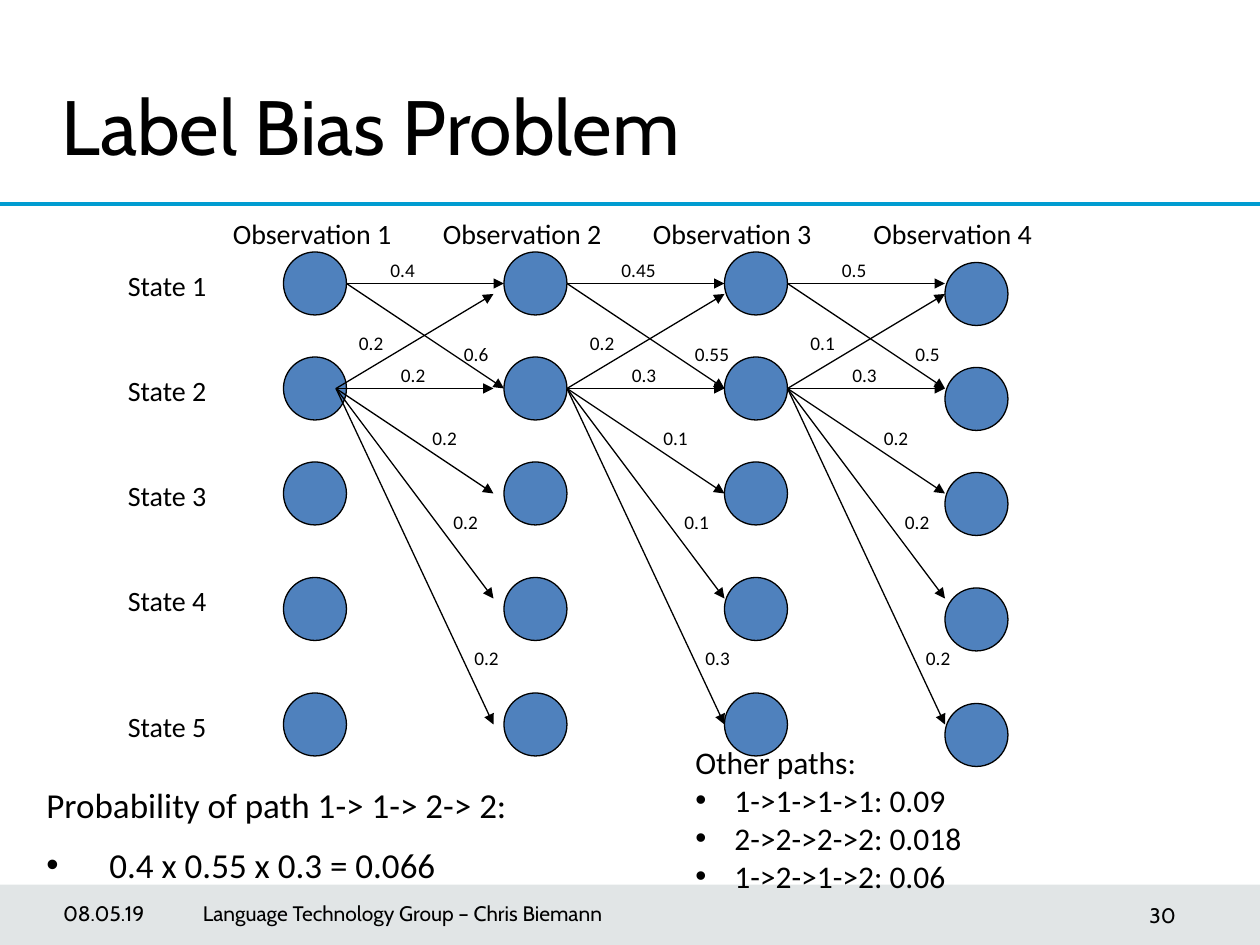
import pptx
import pptx.util
import pptx.dml.color
import pptx.enum.shapes
import pptx.enum.text
import pptx.oxml
import pptx.oxml.ns
import lxml.etree

Inches, Pt = pptx.util.Inches, pptx.util.Pt
Shape = pptx.enum.shapes.MSO_SHAPE
Link = pptx.enum.shapes.MSO_CONNECTOR
Anchor = pptx.enum.text.MSO_ANCHOR
Align = pptx.enum.text.PP_ALIGN
qn = pptx.oxml.ns.qn
unit = 1 / 12  # the diagram sits on a grid of twelfths of an inch


def paint(fill, color):
    fill.solid()
    fill.fore_color.rgb = pptx.dml.color.RGBColor.from_string(color)


def write(box, lines, font, frame={}, para={}, indent=0):
    """Add a text box; every line after the first gets a bullet."""
    text = slide.shapes.add_textbox(*map(Inches, box)).text_frame
    for name, value in {"word_wrap": True, **frame}.items():
        setattr(text, name, value)
    for i, line in enumerate(lines):
        item = text.add_paragraph() if i else text.paragraphs[0]
        run = item.add_run()
        run.text = line
        for name, value in font.items():
            setattr(run.font, name, value)
        paint(run.font.fill, "000000")
        for name, value in para.items():
            setattr(item, name, value)
        if i:
            props = item._p.get_or_add_pPr()
            props.set("marL", str(Inches(indent)))
            props.set("indent", str(-Inches(indent)))
            lxml.etree.SubElement(props, qn("a:buFont")).set("typeface", "Arial")
            lxml.etree.SubElement(props, qn("a:buChar")).set("char", "•")


deck = pptx.Presentation()
deck.slide_width, deck.slide_height = Inches(10), Inches(7.5)
slide = deck.slides.add_slide(deck.slide_layouts[6])

# Footer band, 15 % opaque
band = slide.shapes.add_shape(
    Shape.RECTANGLE, Inches(0), Inches(7.02), Inches(10), Inches(0.48))
band.shadow.inherit = False
paint(band.fill, "3B515B")
band.line.fill.background()
tint = band._element.spPr.find(".//" + qn("a:srgbClr"))
lxml.etree.SubElement(tint, qn("a:alpha")).set("val", "15000")

# Title and path probability
write((0.39, 0.53, 7.52, 0.92), ["Label Bias Problem"],
      {"name": "Cabin", "size": Pt(44)}, {"vertical_anchor": Anchor.MIDDLE})
write((0.27, 6.17, 4.73, 0.92),
      ["Probability of path 1-> 1-> 2-> 2:", "0.4 x 0.55 x 0.3 = 0.066"],
      {"name": "Calibri", "size": Pt(20)}, para={"space_before": Pt(10)}, indent=0.5)

# State nodes: one column per observation, the last one a step lower
columns = [27, 48, 69, 90]
for left in columns:
    drop = 1 if left == columns[-1] else 0
    for top in [24, 34, 44, 55, 66]:
        node = slide.shapes.add_shape(
            Shape.OVAL, Inches(left * unit), Inches((top + drop) * unit),
            Inches(0.5), Inches(0.5))
        node.shadow.inherit = False
        paint(node.fill, "4F81BD")
        paint(node.line.fill, "000000")
        node.line.width = Pt(0.75)

# Lines: title rule first, then moves out of states 1 and 2
lines = [(0, 1.62, 10, 1.62, "009CD1", 2)]
for gap, left in enumerate(columns[:-1]):
    moves = [(27, 27, 0), (27, 37, 0)]
    shift = 0 if gap else -1
    moves += [(37, end, shift) for end in [28, 47, 57, 69, 37]]
    for start, end, shift in moves:
        ends = left + 6 + shift, start, columns[gap + 1] + shift, end
        lines.append((*[n * unit for n in ends], "000000", 0.75))
for *ends, color, width in lines:
    line = slide.shapes.add_connector(Link.STRAIGHT, *map(Inches, ends))
    paint(line.line.fill, color)
    line.line.width = Pt(width)
    if color == "000000":
        edge = line.line._get_or_add_ln()
        lxml.etree.SubElement(edge, qn("a:tailEnd")).set("type", "triangle")
    lxml.etree.SubElement(line._element.spPr, qn("a:effectLst"))

# State and observation names
label = {"name": "Calibri", "size": Pt(16)}
for i, top in enumerate([25, 35, 45, 55, 67], 1):
    write((11 * unit, top * unit, 1.25, 0.37), [f"State {i}"], label)
for i, left in enumerate([21, 41, 61, 82], 1):
    write((left * unit, 1.67, 1.67, 0.37), [f"Observation {i}"], label)

# Move weights: same places in each gap
spots = [(36, 24), (43, 32), (33, 31), (37, 34), (40, 40), (42, 48), (44, 61)]
weights = {
    0: ["0.4", "0.6", "0.2", "0.2", "0.2", "0.2", "0.2"],
    22: ["0.45", "0.55", "0.2", "0.3", "0.1", "0.1", "0.3"],
    43: ["0.5", "0.5", "0.1", "0.3", "0.2", "0.2", "0.2"],
}
for shift, values in weights.items():
    for (left, top), value in zip(spots, values):
        width = 0.42 if top == 34 else 0.75
        write(((left + shift) * unit, top * unit, width, 0.29), [value],
              {"name": "Calibri", "size": Pt(11)})

# Other paths
write((5.42, 5.85, 2.53, 1.31),
      ["Other paths:", "1->1->1->1: 0.09", "2->2->2->2: 0.018", "1->2->1->2: 0.06"],
      {"name": "Calibri", "size": Pt(18)}, indent=0.31)

# Footer: date, group, page
small = {"name": "Cabin", "size": Pt(12)}
middle = {"vertical_anchor": Anchor.MIDDLE}
write((0.5, 7.05, 0.99, 0.4), ["08.05.19"], small, {**middle, "margin_left": 0})
write((1.57, 7.05, 4.95, 0.4), ["Language Technology Group – Chris Biemann"],
      small, {**middle, "margin_left": Inches(0.04)})
write((7.35, 7.01, 2.08, 0.5), ["30"], small, middle, {"alignment": Align.RIGHT})

deck.save("out.pptx")
